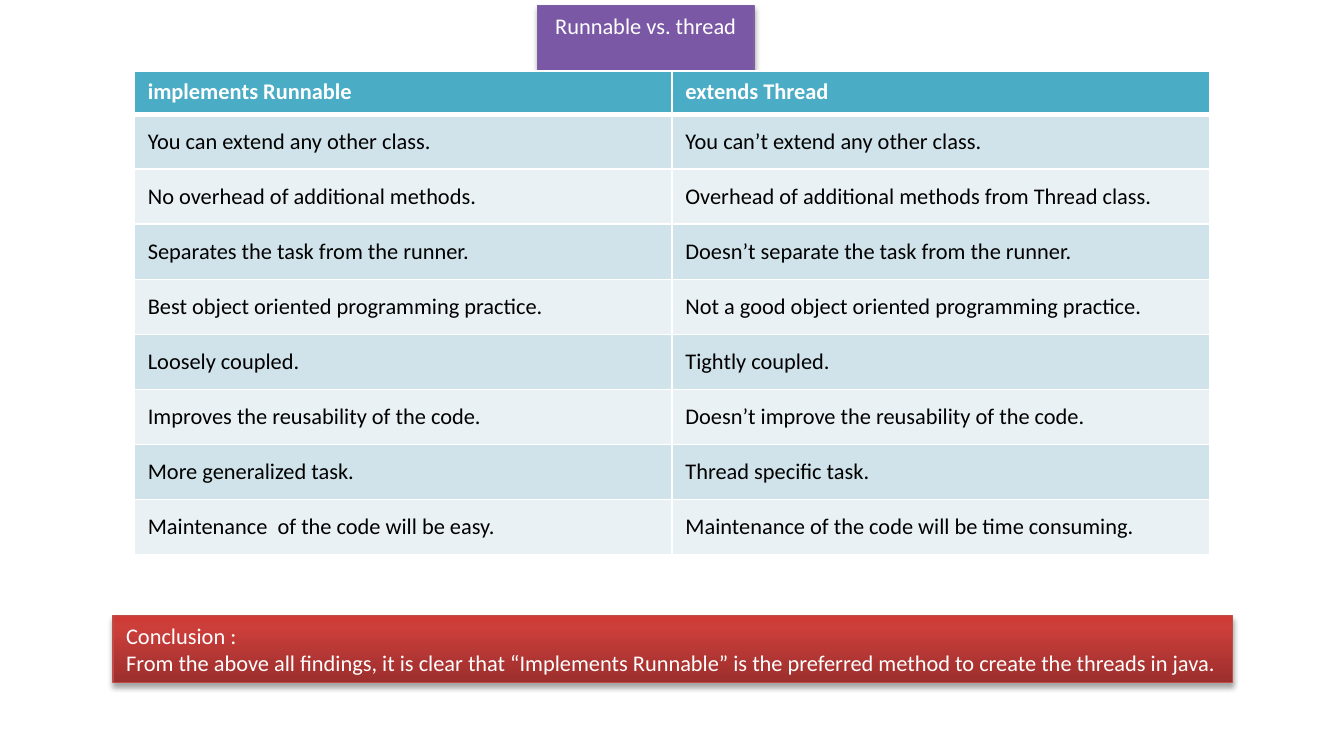
from copy import deepcopy

from lxml.etree import SubElement
from pptx import Presentation
from pptx.dml.color import RGBColor
from pptx.enum.shapes import MSO_SHAPE
from pptx.enum.text import MSO_ANCHOR, MSO_AUTO_SIZE, PP_ALIGN
from pptx.oxml.ns import qn
from pptx.util import Inches, Pt

TITLE = "Runnable vs. thread"
CONCLUSION = [
    "Conclusion :",
    "From the above all findings, it is clear that “Implements Runnable” is the "
    "preferred method to create the threads in java.",
]
COMPARISON = [
    ("implements Runnable", "extends Thread"),
    ("You can extend any other class.", "You can’t extend any other class."),
    ("No overhead of additional methods.", "Overhead of additional methods from Thread class."),
    ("Separates the task from the runner.", "Doesn’t separate the task from the runner."),
    ("Best object oriented programming practice.",
     "Not a good object oriented programming practice."),
    ("Loosely coupled.", "Tightly coupled."),
    ("Improves the reusability of the code.", "Doesn’t improve the reusability of the code."),
    ("More generalized task.", "Thread specific task."),
    ("Maintenance  of the code will be easy.",
     "Maintenance of the code will be time consuming."),
]

WHITE, BLACK = "FFFFFF", "000000"
HEADER_FILL = "4BACC6"
BAND_FILLS = ["D0E3EA", "E9F1F5"]
PURPLE = {"stops": ["5F4480", "7B58A6", "7C57A8"], "line": "7D60A0"}
RED = {"stops": ["9C2F2D", "CB3E3A", "CE3B37"], "line": "BF4C48"}
STOP_POSITIONS = [0, 0.8, 1]
HEADER_HEIGHT, ROW_HEIGHT, COLUMN_WIDTH = 0.32, 0.41, 4


def color(value):
    return RGBColor.from_string(value)


def format_font(paragraph, **changes):
    values = {"name": "Calibri", "size": Pt(12), "bold": False, **changes}
    text_color = values.pop("color", WHITE)
    for name, value in values.items():
        setattr(paragraph.font, name, value)
    paragraph.font.color.rgb = color(text_color)


def add_shadow(shape):
    shape.shadow.inherit = False
    effects = shape._element.spPr.find(qn("a:effectLst"))
    shadow = SubElement(effects, qn("a:outerShdw"), blurRad=str(Pt(3.1)),
                        dist=str(Pt(1.8)), dir="5400000", rotWithShape="0")
    shadow_color = SubElement(shadow, qn("a:srgbClr"), val=BLACK)
    SubElement(shadow_color, qn("a:alpha"), val="35000")


def format_banner(shape, box, lines, palette, alignment):
    """Place a shape as a gradient banner with a soft shadow and white text."""
    for name, value in zip(("left", "top", "width", "height"), box):
        setattr(shape, name, Inches(value))

    shape.fill.gradient()
    shape.fill.gradient_angle = 90
    stop_list = shape._element.spPr.find(".//" + qn("a:gsLst"))
    stop_list.append(deepcopy(stop_list[-1]))
    for stop, position, value in zip(shape.fill.gradient_stops, STOP_POSITIONS,
                                     palette["stops"]):
        stop.position = position
        stop.color.rgb = color(value)
    shape.line.color.rgb = color(palette["line"])
    shape.line.width = Pt(0.75)
    add_shadow(shape)

    frame = shape.text_frame
    frame.text = "\n".join(lines)
    frame.word_wrap = False
    frame.auto_size = MSO_AUTO_SIZE.SHAPE_TO_FIT_TEXT
    frame.vertical_anchor = MSO_ANCHOR.TOP
    for paragraph in frame.paragraphs:
        paragraph.alignment = alignment
        format_font(paragraph)


def add_borders(cell, widths):
    """Draw white borders; widths maps a side's tag to points."""
    properties = cell._tc.get_or_add_tcPr()
    for index, (side, width) in enumerate(widths.items()):
        line = SubElement(properties, qn("a:" + side), w=str(Pt(width)))
        fill = SubElement(line, qn("a:solidFill"))
        SubElement(fill, qn("a:srgbClr"), val=WHITE)
        properties.insert(index, line)


def add_comparison(slide):
    rows, columns = len(COMPARISON), len(COMPARISON[0])
    height = HEADER_HEIGHT + ROW_HEIGHT * (rows - 1)
    table = slide.shapes.add_table(rows, columns, Inches(1), Inches(0.53),
                                   Inches(COLUMN_WIDTH * columns), Inches(height)).table
    for column in table.columns:
        column.width = Inches(COLUMN_WIDTH)
    for row_index, texts in enumerate(COMPARISON):
        header = row_index == 0
        table.rows[row_index].height = Inches(HEADER_HEIGHT if header else ROW_HEIGHT)
        for column_index, text in enumerate(texts):
            cell = table.cell(row_index, column_index)
            cell.text = text
            cell.vertical_anchor = MSO_ANCHOR.TOP if header else MSO_ANCHOR.MIDDLE
            cell.fill.solid()
            cell.fill.fore_color.rgb = color(
                HEADER_FILL if header else BAND_FILLS[(row_index - 1) % 2])
            add_borders(cell, {"lnL": 1, "lnR": 1, "lnT": 3 if row_index == 1 else 1,
                               "lnB": 3 if header else 1})
            format_font(cell.text_frame.paragraphs[0], bold=header,
                        color=WHITE if header else BLACK)


def main():
    presentation = Presentation()
    presentation.slide_width, presentation.slide_height = Inches(10), Inches(5.5)
    slide = presentation.slides.add_slide(presentation.slide_layouts[5])

    format_banner(slide.shapes.title, (4, 0.04, 1.61, 0.3), [TITLE], PURPLE,
                  PP_ALIGN.CENTER)
    add_comparison(slide)
    conclusion = slide.shapes.add_shape(MSO_SHAPE.RECTANGLE, 0, 0, 0, 0)
    format_banner(conclusion, (0.84, 4.58, 8.33, 0.5), CONCLUSION, RED, PP_ALIGN.LEFT)

    presentation.save("out.pptx")


if __name__ == "__main__":
    main()
